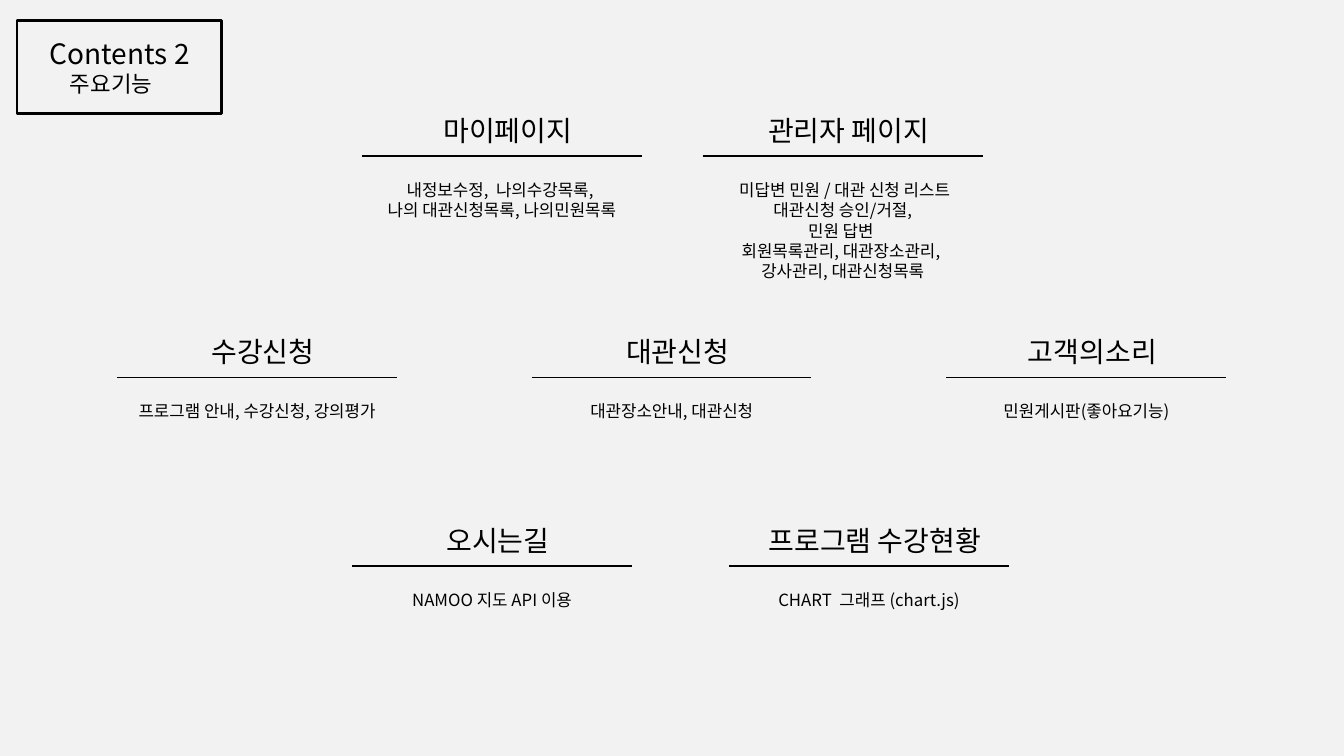
import pptx
import pptx.dml.color
import pptx.enum.shapes
import pptx.enum.text
import pptx.oxml
import pptx.oxml.ns
import pptx.util

Cm = pptx.util.Cm
Pt = pptx.util.Pt
ALIGN = pptx.enum.text.PP_ALIGN

BLACK = pptx.dml.color.RGBColor(0x00, 0x00, 0x00)
LIGHT_GREY = pptx.dml.color.RGBColor(0xF2, 0xF2, 0xF2)
FONT = "Noto Sans CJK KR"

# Section rows and offsets, in cm
TOP_ROW, MIDDLE_ROW, BOTTOM_ROW = 2.74, 8.31, 13.06
MIDDLE_LEFT, MIDDLE_STEP = 2.82, 10.45
HEADING_WIDTH, BODY_WIDTH, RULE_WIDTH = 7.62, 7.32, 7.05
HEADING_INDENT = 1.27
RULE_DROP, BODY_DROP = 1.2, 1.67
LINE_HEIGHT = 0.51

# Heading, left, top, heading indent, lines of the body
SECTIONS = [
    ("마이페이지", 8.99, TOP_ROW, HEADING_INDENT,
     ["내정보수정,  나의수강목록, ", "나의 대관신청목록, 나의민원목록"]),
    ("관리자 페이지", 17.58, TOP_ROW, HEADING_INDENT,
     [" 미답변 민원 / 대관 신청 리스트", "대관신청 승인/거절,", "민원 답변 ",
      "회원목록관리, 대관장소관리, ", "강사관리, 대관신청목록"]),
    ("수강신청", MIDDLE_LEFT, MIDDLE_ROW, 0,
     ["프로그램 안내, 수강신청, 강의평가"]),
    ("대관신청", MIDDLE_LEFT + MIDDLE_STEP, MIDDLE_ROW, 0,
     ["대관장소안내, 대관신청"]),
    ("고객의소리", MIDDLE_LEFT + 2 * MIDDLE_STEP, MIDDLE_ROW, HEADING_INDENT,
     ["민원게시판(좋아요기능)"]),
    ("오시는길", 8.74, BOTTOM_ROW, 0, ["NAMOO 지도 API 이용"]),
    ("프로그램 수강현황", 18.24, BOTTOM_ROW, 0, ["CHART  그래프 (chart.js)"]),
]


def write(para, text, size, align=ALIGN.CENTER, indent=0):
    """Put formatted text with a faint outline into a paragraph."""
    para.alignment = align
    para.line_spacing = 1.0
    if indent:
        para._p.get_or_add_pPr().set("marL", str(Cm(indent)))
    span = para.add_run()
    span.text = text
    span.font.size = Pt(size)
    span.font.name = FONT
    span.font.color.rgb = BLACK
    namespace = pptx.oxml.ns.nsdecls("a")
    properties = span._r.get_or_add_rPr()
    properties.insert(0, pptx.oxml.parse_xml(
        f'<a:ln {namespace} w="9525"><a:solidFill><a:srgbClr val="{BLACK}">'
        '<a:alpha val="30000"/></a:srgbClr></a:solidFill></a:ln>'))
    properties.append(pptx.oxml.parse_xml(
        f'<a:ea {namespace} typeface="{FONT}"/>'))


def add_text(page, lines, left, top, width, height, **formats):
    box = page.shapes.add_textbox(Cm(left), Cm(top), Cm(width), Cm(height))
    frame = box.text_frame
    frame.word_wrap = True
    for number, line in enumerate(lines):
        para = frame.add_paragraph() if number else frame.paragraphs[0]
        write(para, line, **formats)


def add_rule(page, left, top):
    rule = page.shapes.add_connector(
        pptx.enum.shapes.MSO_CONNECTOR.STRAIGHT,
        Cm(left), Cm(top), Cm(left + RULE_WIDTH), Cm(top))
    rule.line.color.rgb = BLACK
    rule.line.width = Pt(1.25)
    rule._element.spPr.append(pptx.oxml.parse_xml(
        f'<a:effectLst {pptx.oxml.ns.nsdecls("a")}/>'))


def add_section(page, heading, left, top, indent, lines):
    add_text(page, [heading], left, top, HEADING_WIDTH - indent, 1.11,
             size=20, indent=indent)
    add_rule(page, left + 0.13, top + RULE_DROP)
    add_text(page, lines, left, top + BODY_DROP, BODY_WIDTH,
             0.25 + LINE_HEIGHT * len(lines), size=12)


def add_title(page):
    # Title and subtitle
    title = page.shapes.title
    title.left, title.top = Cm(0.58), Cm(0.79)
    title.width, title.height = Cm(4.88), Cm(1.8)
    frame = title.text_frame
    frame.word_wrap = True
    frame.auto_size = pptx.enum.text.MSO_AUTO_SIZE.NONE
    frame.vertical_anchor = pptx.enum.text.MSO_ANCHOR.TOP
    write(frame.paragraphs[0], "Contents 2", 20)
    write(frame.add_paragraph(), "주요기능", 16, align=ALIGN.LEFT, indent=0.93)

    # Border around the title
    border = page.shapes.add_shape(
        pptx.enum.shapes.MSO_SHAPE.RECTANGLE,
        Cm(0.43), Cm(0.51), Cm(5.16), Cm(2.36))
    border.shadow.inherit = False
    border.fill.background()
    border.line.color.rgb = BLACK
    border.line.width = Pt(2)


def main():
    deck = pptx.Presentation()
    deck.slide_width, deck.slide_height = Cm(33.87), Cm(19.05)
    page = deck.slides.add_slide(deck.slide_layouts.get_by_name("Title Only"))
    page.background.fill.solid()
    page.background.fill.fore_color.rgb = LIGHT_GREY

    add_title(page)
    for section in SECTIONS:
        add_section(page, *section)
    deck.save("out.pptx")


if __name__ == "__main__":
    main()
